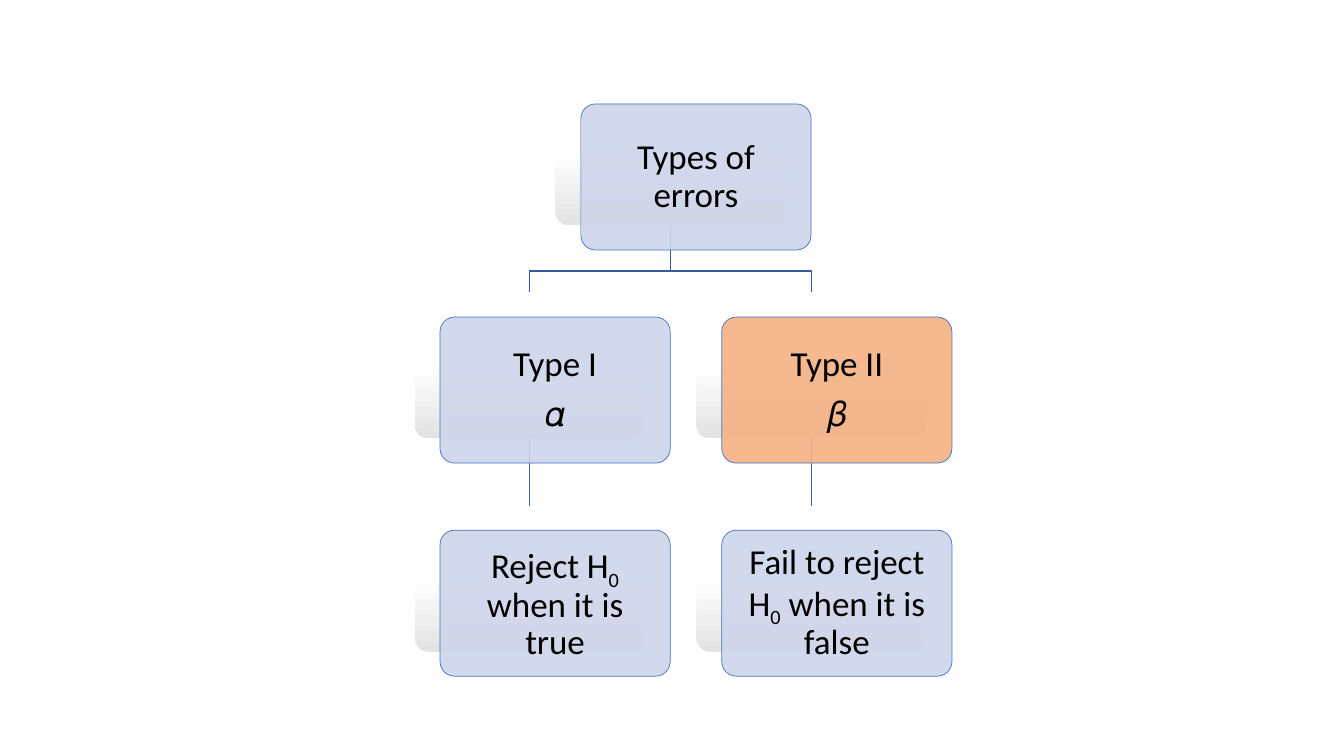
"""Build a slide with a tree of the two types of statistical errors."""
from pptx import Presentation
from pptx.dml.color import RGBColor
from pptx.enum.shapes import MSO_CONNECTOR, MSO_SHAPE
from pptx.enum.text import MSO_ANCHOR, PP_ALIGN
from pptx.oxml.ns import qn
from pptx.util import Cm, Pt
from lxml import etree

ROUNDED = MSO_SHAPE.ROUNDED_RECTANGLE
STRAIGHT = MSO_CONNECTOR.STRAIGHT
MIDDLE = MSO_ANCHOR.MIDDLE
CENTER = PP_ALIGN.CENTER
BOTTOM_SIDE, TOP_SIDE = 2, 0

LAVENDER = RGBColor(0xCF, 0xD5, 0xEA)
ORANGE = RGBColor(0xF4, 0xB1, 0x83)
OUTLINE = RGBColor(0x44, 0x72, 0xC4)
BRANCH = RGBColor(0x36, 0x5B, 0x9D)
STEM = RGBColor(0x3E, 0x67, 0xB2)
WHITE = RGBColor(0xFF, 0xFF, 0xFF)
GREY = RGBColor(0xE3, 0xE3, 0xE3)
BLACK = RGBColor(0, 0, 0)

# Each node: column, row, fill, paragraphs of (text, baseline) runs
NODES = {
    "root": (0.5, 0, LAVENDER, [[("Types of errors", 0)]]),
    "type1": (0, 1, LAVENDER, [[("Type I", 0)], [("𝛼", 0)]]),
    "reject": (0, 2, LAVENDER,
               [[("Reject H", 0), ("0", -25000), (" when it is true", 0)]]),
    "type2": (1, 1, ORANGE, [[("Type II", 0)], [("𝛽", 0)]]),
    "fail": (1, 2, LAVENDER,
             [[("Fail to reject H", 0), ("0", -25000), (" when it is false", 0)]]),
}
BRANCHES = [("root", "type1"), ("root", "type2")]
STEMS = [("type1", "reject"), ("type2", "fail")]

LEFT, TOP = Cm(10.45), Cm(2)
COLUMN_STEP, ROW_STEP = Cm(7.1), Cm(5.37)
WIDTH, HEIGHT = Cm(5.8), Cm(3.68)
SHIFT_X, SHIFT_Y = Cm(0.64), Cm(0.62)
BEND = Cm(1.15)
INSET = Cm(0.36)


def add_rounded(slide, left, top):
    box = slide.shapes.add_shape(ROUNDED, left, top, WIDTH, HEIGHT)
    box.adjustments[0] = 0.1
    box.shadow.inherit = False
    return box


def add_backing(slide, column, row):
    backing = add_rounded(slide, LEFT + int(column * COLUMN_STEP), TOP + row * ROW_STEP)
    backing.line.fill.background()
    backing.fill.gradient()
    backing.fill.gradient_angle = 270
    for stop, position, color in zip(backing.fill.gradient_stops, (0.5, 1), (WHITE, GREY)):
        stop.position = position
        stop.color.rgb = color
    return backing


def add_branch(slide, parent, child):
    start_x, start_y = parent.left + WIDTH // 2, parent.top + HEIGHT
    end_x = child.left + WIDTH // 2
    builder = slide.shapes.build_freeform(start_x, start_y)
    builder.add_line_segments(
        [(start_x, start_y + BEND), (end_x, start_y + BEND), (end_x, child.top)], close=False)
    branch = builder.convert_to_shape()
    branch.shadow.inherit = False
    branch.fill.background()
    branch.line.color.rgb = BRANCH
    branch.line.width = Pt(1)


def add_stem(slide, parent, child):
    stem = slide.shapes.add_connector(STRAIGHT, 0, 0, 0, 0)
    stem.begin_connect(parent, BOTTOM_SIDE)
    stem.end_connect(child, TOP_SIDE)
    stem.line.color.rgb = STEM
    stem.line.width = Pt(1)
    etree.SubElement(stem._element.spPr, qn("a:effectLst"))


def add_card(slide, backing, color, paragraphs):
    card = add_rounded(slide, backing.left + SHIFT_X, backing.top + SHIFT_Y)
    card.fill.solid()
    card.fill.fore_color.rgb = color
    tint = card._element.spPr.find(qn("a:solidFill"))[0]
    etree.SubElement(tint, qn("a:alpha")).set("val", "90000")
    card.line.color.rgb = OUTLINE
    card.line.width = Pt(0.5)
    frame = card.text_frame
    frame.word_wrap = True
    frame.vertical_anchor = MIDDLE
    frame.margin_left = frame.margin_right = INSET
    frame.margin_top = frame.margin_bottom = INSET
    for index, runs in enumerate(paragraphs):
        paragraph = frame.add_paragraph() if index else frame.paragraphs[0]
        paragraph.alignment = CENTER
        paragraph.line_spacing = 0.9
        paragraph.space_after = Pt(8.75)
        paragraph.font.name = "Calibri"
        paragraph.font.size = Pt(25)
        paragraph.font.color.rgb = BLACK
        for text, baseline in runs:
            run = paragraph.add_run()
            run.text = text
            if baseline:
                run._r.get_or_add_rPr().set("baseline", str(baseline))


def main():
    deck = Presentation()
    deck.slide_width, deck.slide_height = Cm(33.87), Cm(19.05)
    slide = deck.slides.add_slide(deck.slide_layouts[6])
    backings = {key: add_backing(slide, column, row)
                for key, (column, row, _, _) in NODES.items()}
    for parent, child in BRANCHES:
        add_branch(slide, backings[parent], backings[child])
    for parent, child in STEMS:
        add_stem(slide, backings[parent], backings[child])
    for key, (_, _, color, paragraphs) in NODES.items():
        add_card(slide, backings[key], color, paragraphs)
    deck.save("out.pptx")


if __name__ == "__main__":
    main()
